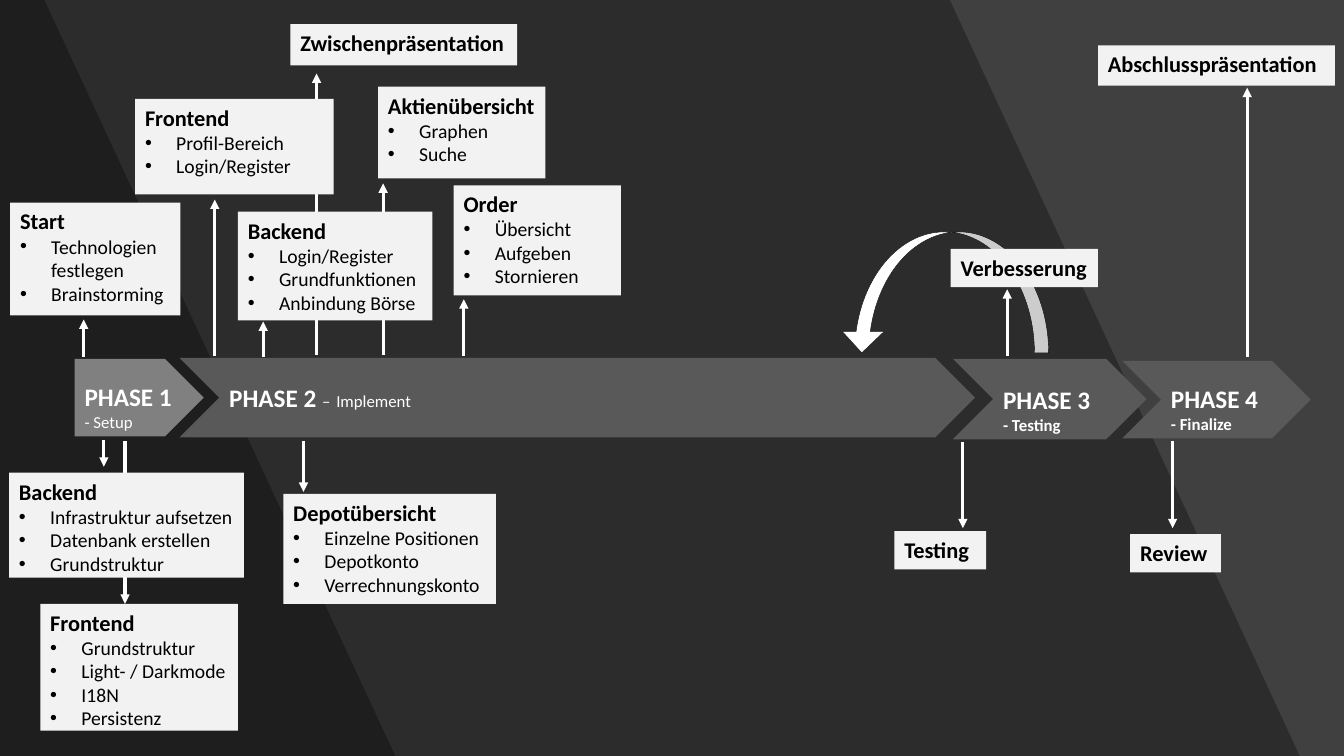
"""Build a dark project timeline slide with four phases and their milestones."""
from pptx import Presentation
from pptx.dml.color import RGBColor
from pptx.enum import shapes, text
from pptx.oxml.ns import qn
from pptx.util import Inches, Pt
from lxml import etree

COLORS = {"background": "404040", "shade": "000000", "setup": "808080", "phase": "595959",
          "card": "F2F2F2", "dark": "000000", "light": "FFFFFF"}
FONT = "Calibri"

SHADES = [
    [(0, 0), (9.42, 0), (12.89, 7.5), (0, 7.5)],
    [(0, 0), (0.44, 0), (3.92, 7.5), (0, 7.5)],
]
PHASES = [
    ("PENTAGON", (0.74, 3.56, 1.28, 0.77), "setup", "BOTTOM",
     [("PHASE 1 ", 18, True), ("- Setup", 12, False)]),
    ("CHEVRON", (1.78, 3.55, 7.89, 0.79), "phase", "MIDDLE",
     [("PHASE 2 ", 18, True), ("–", 12, False), (" ", 18, False), ("Implement", 12, False)]),
    ("CHEVRON", (9.45, 3.56, 1.92, 0.8), "phase", "BOTTOM",
     [("PHASE 3", 18, True), (" - Testing", 12, True)]),
    ("CHEVRON", (11.13, 3.58, 1.87, 0.77), "phase", "BOTTOM",
     [("PHASE 4", 18, True), (" - Finalize", 12, True)]),
]
LOOP_BACK = (8.34, 2.3, 2.06, 1.2)
LOOP_ADJUSTMENTS = (0.117, 0.345, 0.176)
ARROWS = [
    (1.03, 4.37, 4.63), (1.24, 4.38, 5.99), (3.01, 4.38, 4.88), (9.55, 4.39, 5.24),
    (11.63, 4.38, 5.24), (0.83, 3.54, 3.17), (2.13, 3.53, 1.98), (2.61, 3.54, 3.19),
    (3.14, 3.52, 0.73), (3.8, 3.52, 1.82), (4.6, 3.53, 2.97), (9.99, 3.53, 2.87),
    (12.37, 3.54, 0.87),
]
CARDS = [
    ((0.1, 2.01, 1.69, 1.12), "Start", ["Technologien festlegen", "Brainstorming"]),
    ((0.09, 4.69, 2.33, 1.04), "Backend",
     ["Infrastruktur aufsetzen", "Datenbank erstellen", "Grundstruktur"]),
    ((0.4, 5.99, 1.96, 1.26), "Frontend",
     ["Grundstruktur", "Light- / Darkmode", "I18N", "Persistenz"]),
    ((2.88, 0.24, 2.25, 0.41), "Zwischenpräsentation", []),
    ((1.34, 0.98, 1.97, 0.95), "Frontend", ["Profil-Bereich", "Login/Register"]),
    ((3.75, 0.86, 1.66, 0.91), "Aktienübersicht", ["Graphen", "Suche"]),
    ((4.5, 1.84, 1.66, 1.09), "Order", ["Übersicht", "Aufgeben", "Stornieren"]),
    ((2.36, 2.1, 1.93, 1.08), "Backend",
     ["Login/Register", "Grundfunktionen", "Anbindung Börse"]),
    ((2.81, 4.9, 2.11, 1.09), "Depotübersicht",
     ["Einzelne Positionen", "Depotkonto", "Verrechnungskonto"]),
    ((9.43, 2.47, 1.46, 0.38), "Verbesserung", []),
    ((8.87, 5.27, 0.91, 0.38), "Testing", []),
    ((11.21, 5.3, 0.9, 0.38), "Review", []),
    ((10.89, 0.45, 2.35, 0.4), "Abschlusspräsentation", []),
]


def rgb(name):
    return RGBColor.from_string(COLORS[name])


def style_shape(shape, color):
    shape.shadow.inherit = False
    shape.fill.solid()
    shape.fill.fore_color.rgb = rgb(color)
    shape.line.fill.background()


def add_block(slide, preset, place, color, anchor="TOP"):
    kind = getattr(shapes.MSO_SHAPE, preset)
    shape = slide.shapes.add_shape(kind, *map(Inches, place))
    style_shape(shape, color)
    shape.text_frame.word_wrap = True
    shape.text_frame.vertical_anchor = getattr(text.MSO_ANCHOR, anchor)
    return shape


def add_run(paragraph, wording, size=14, bold=False, color="dark"):
    paragraph.alignment = text.PP_ALIGN.LEFT
    run = paragraph.add_run()
    run.text = wording
    run.font.name = FONT
    run.font.size = Pt(size)
    run.font.bold = bold
    run.font.color.rgb = rgb(color)


def add_bullet(paragraph):
    properties = paragraph._p.get_or_add_pPr()
    indent = Inches(0.31)
    properties.set("marL", str(indent))
    properties.set("indent", str(-indent))
    etree.SubElement(properties, qn("a:buFont"), typeface="Arial")
    etree.SubElement(properties, qn("a:buChar"), char="•")


def add_shade(slide, points):
    start, *others = [(Inches(x), Inches(y)) for x, y in points]
    builder = slide.shapes.build_freeform(*start)
    builder.add_line_segments(others, close=True)
    shape = builder.convert_to_shape()
    style_shape(shape, "shade")
    color = shape._element.spPr.find(qn("a:solidFill"))[0]
    etree.SubElement(color, qn("a:alpha"), val="30000")


def add_arrow(slide, x, start, end):
    line = slide.shapes.add_connector(
        shapes.MSO_CONNECTOR.STRAIGHT, Inches(x), Inches(start), Inches(x), Inches(end))
    line.line.color.rgb = rgb("light")
    line.line.width = Pt(2.25)
    etree.SubElement(line.line._get_or_add_ln(), qn("a:tailEnd"), type="triangle")
    etree.SubElement(line._element.spPr, qn("a:effectLst"))


def add_loop_back(slide):
    loop = add_block(slide, "CURVED_UP_ARROW", LOOP_BACK, "light")
    loop.rotation = 180
    for index, value in enumerate(LOOP_ADJUSTMENTS):
        loop.adjustments[index] = value
    loop.line.color.rgb = rgb("dark")
    loop.line.width = Pt(0.25)


def add_card(slide, place, heading, items):
    frame = add_block(slide, "RECTANGLE", place, "card").text_frame
    add_run(frame.paragraphs[0], heading, size=16, bold=True)
    for item in items:
        paragraph = frame.add_paragraph()
        add_bullet(paragraph)
        add_run(paragraph, item)


def main():
    presentation = Presentation()
    presentation.slide_width = Inches(13.33)
    presentation.slide_height = Inches(7.5)
    slide = presentation.slides.add_slide(presentation.slide_layouts[6])
    slide.background.fill.solid()
    slide.background.fill.fore_color.rgb = rgb("background")
    for points in SHADES:
        add_shade(slide, points)
    for preset, place, color, anchor, runs in PHASES:
        phase = add_block(slide, preset, place, color, anchor)
        for wording, size, bold in runs:
            add_run(phase.text_frame.paragraphs[0], wording, size=size, bold=bold, color="light")
    add_loop_back(slide)
    for arrow in ARROWS:
        add_arrow(slide, *arrow)
    for card in CARDS:
        add_card(slide, *card)
    presentation.save("out.pptx")


if __name__ == "__main__":
    main()
